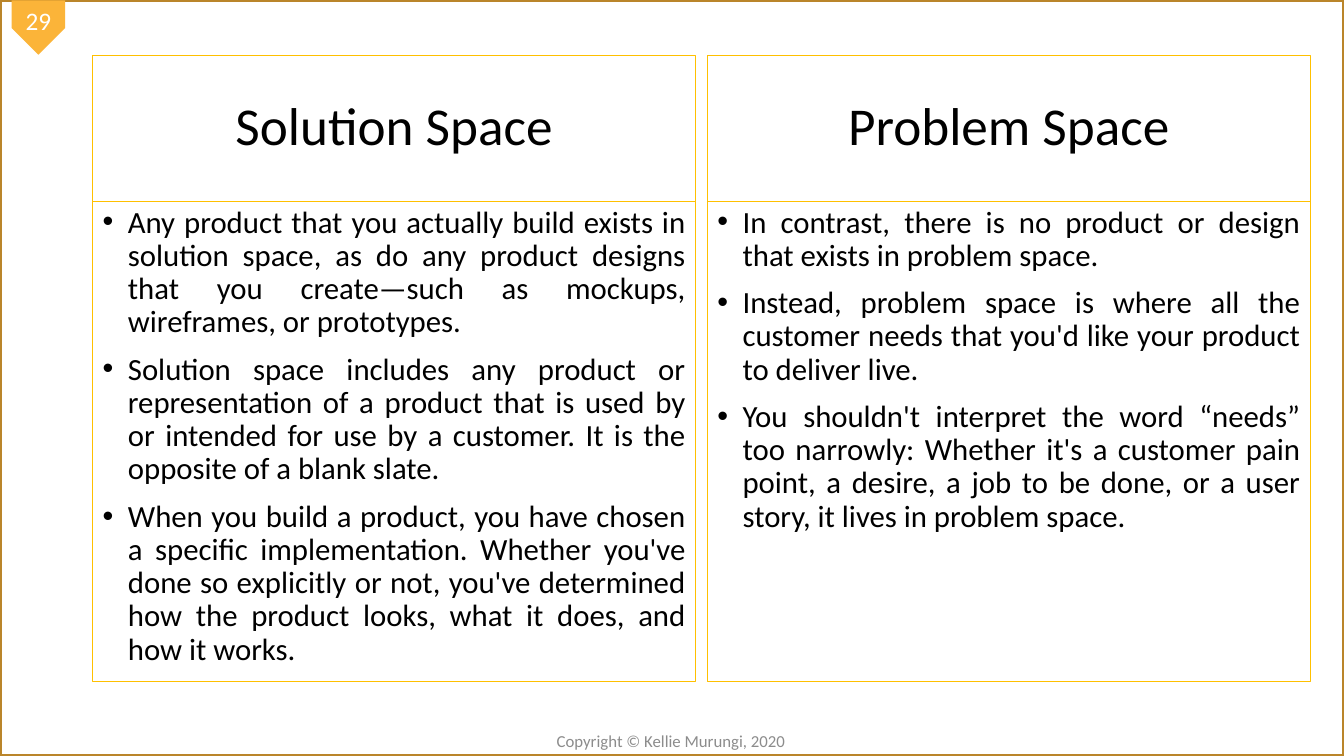
from pptx import Presentation
from pptx import util as u
from pptx.dml.color import RGBColor
from pptx.enum import shapes, text
from pptx.oxml import parse_xml
from pptx.oxml.ns import nsdecls

BLACK = RGBColor(0x00, 0x00, 0x00)
WHITE = RGBColor(0xFF, 0xFF, 0xFF)
GREY = RGBColor(0x8C, 0x8C, 0x8C)
BRONZE = RGBColor(0xBA, 0x85, 0x2A)
ORANGE = RGBColor(0xFB, 0xB4, 0x39)
GOLD = RGBColor(0xFF, 0xC0, 0x00)

SLIDE_WIDTH, SLIDE_HEIGHT = 33.87, 19.05
COLUMN_LEFT, COLUMN_STEP, COLUMN_WIDTH = 2.34, 15.49, 15.19
HEADING_TOP, HEADING_HEIGHT, BODY_HEIGHT = 1.4, 3.68, 12.09

COLUMNS = [
    ("Solution Space", [
        "Any product that you actually build exists in solution space, as do any "
        "product designs that you create—such as mockups, wireframes, or prototypes.",
        "Solution space includes any product or representation of a product that is "
        "used by or intended for use by a customer. It is the opposite of a blank slate.",
        "When you build a product, you have chosen a specific implementation. Whether "
        "you've done so explicitly or not, you've determined how the product looks, "
        "what it does, and how it works.",
    ]),
    ("Problem Space", [
        "In contrast, there is no product or design that exists in problem space.",
        "Instead, problem space is where all the customer needs that you'd like your "
        "product to deliver live.",
        "You shouldn't interpret the word “needs” too narrowly: Whether it's a customer "
        "pain point, a desire, a job to be done, or a user story, it lives in problem space.",
    ]),
]


def write(box, lines, size, color=BLACK, align=text.PP_ALIGN.CENTER,
          anchor=text.MSO_ANCHOR.MIDDLE, spacing=None, before=None, bullet=False):
    """Fill a box with one formatted paragraph for each line."""
    frame = box.text_frame
    frame.word_wrap = True
    frame.vertical_anchor = anchor
    for index, line in enumerate(lines):
        para = frame.add_paragraph() if index else frame.paragraphs[0]
        para.alignment = align
        para.line_spacing = spacing
        para.space_before = before
        if bullet:
            props = para._p.get_or_add_pPr()
            indent = u.Cm(0.635)
            props.set("marL", str(indent))
            props.set("indent", str(-indent))
            props.append(parse_xml(f'<a:buFont {nsdecls("a")} typeface="Arial"/>'))
            props.append(parse_xml(f'<a:buChar {nsdecls("a")} char="•"/>'))
        span = para.add_run()
        span.text = line
        span.font.name = "Calibri"
        span.font.size = u.Pt(size)
        span.font.color.rgb = color


class SlideBuilder:
    def __init__(self, slide, line_width=0.75):
        self.slide = slide
        self.line_width = line_width

    def shape(self, kind, left, top, width, height, fill=None, line=None, line_width=None):
        box = self.slide.shapes.add_shape(
            kind, u.Cm(left), u.Cm(top), u.Cm(width), u.Cm(height))
        box.shadow.inherit = False
        if fill is None:
            box.fill.background()
        else:
            box.fill.solid()
            box.fill.fore_color.rgb = fill
        if line is None:
            box.line.fill.background()
        else:
            box.line.color.rgb = line
            box.line.width = u.Pt(line_width or self.line_width)
        return box

    def outline(self, left, top, width, height, color=GOLD, line_width=None):
        return self.shape(shapes.MSO_SHAPE.RECTANGLE, left, top, width, height,
                          line=color, line_width=line_width)

    def page_badge(self, number):
        """Add the downward pennant with an upright page number."""
        badge = self.shape(shapes.MSO_SHAPE.PENTAGON, 0.28, 0.02, 1.37, 1.35, fill=ORANGE)
        badge.rotation = 90
        frame = badge.text_frame
        frame.margin_left = frame.margin_right = frame.margin_top = frame.margin_bottom = 0
        write(badge, [number], 18, color=WHITE)
        frame._txBody.bodyPr.set("vert", "vert270")

    def footer(self, line):
        box = self.slide.shapes.add_textbox(u.Cm(11.73), u.Cm(18.29), u.Cm(10.36), u.Cm(0.76))
        write(box, [line], 12, color=GREY)

    def column(self, left, heading, points):
        title = self.outline(left, HEADING_TOP, COLUMN_WIDTH, HEADING_HEIGHT)
        write(title, [heading], 38, spacing=0.9)
        body = self.outline(left, HEADING_TOP + HEADING_HEIGHT, COLUMN_WIDTH, BODY_HEIGHT)
        write(body, points, 22, align=text.PP_ALIGN.JUSTIFY, anchor=text.MSO_ANCHOR.TOP,
              spacing=0.9, before=u.Pt(10), bullet=True)


def main():
    deck = Presentation()
    deck.slide_width = u.Cm(SLIDE_WIDTH)
    deck.slide_height = u.Cm(SLIDE_HEIGHT)
    page = SlideBuilder(deck.slides.add_slide(deck.slide_layouts[6]))
    page.outline(0, 0, SLIDE_WIDTH, SLIDE_HEIGHT, color=BRONZE, line_width=2.25)
    page.page_badge("29")
    page.footer("Copyright © Kellie Murungi, 2020")
    for index, (heading, points) in enumerate(COLUMNS):
        page.column(COLUMN_LEFT + index * COLUMN_STEP, heading, points)
    deck.save("out.pptx")


if __name__ == "__main__":
    main()
